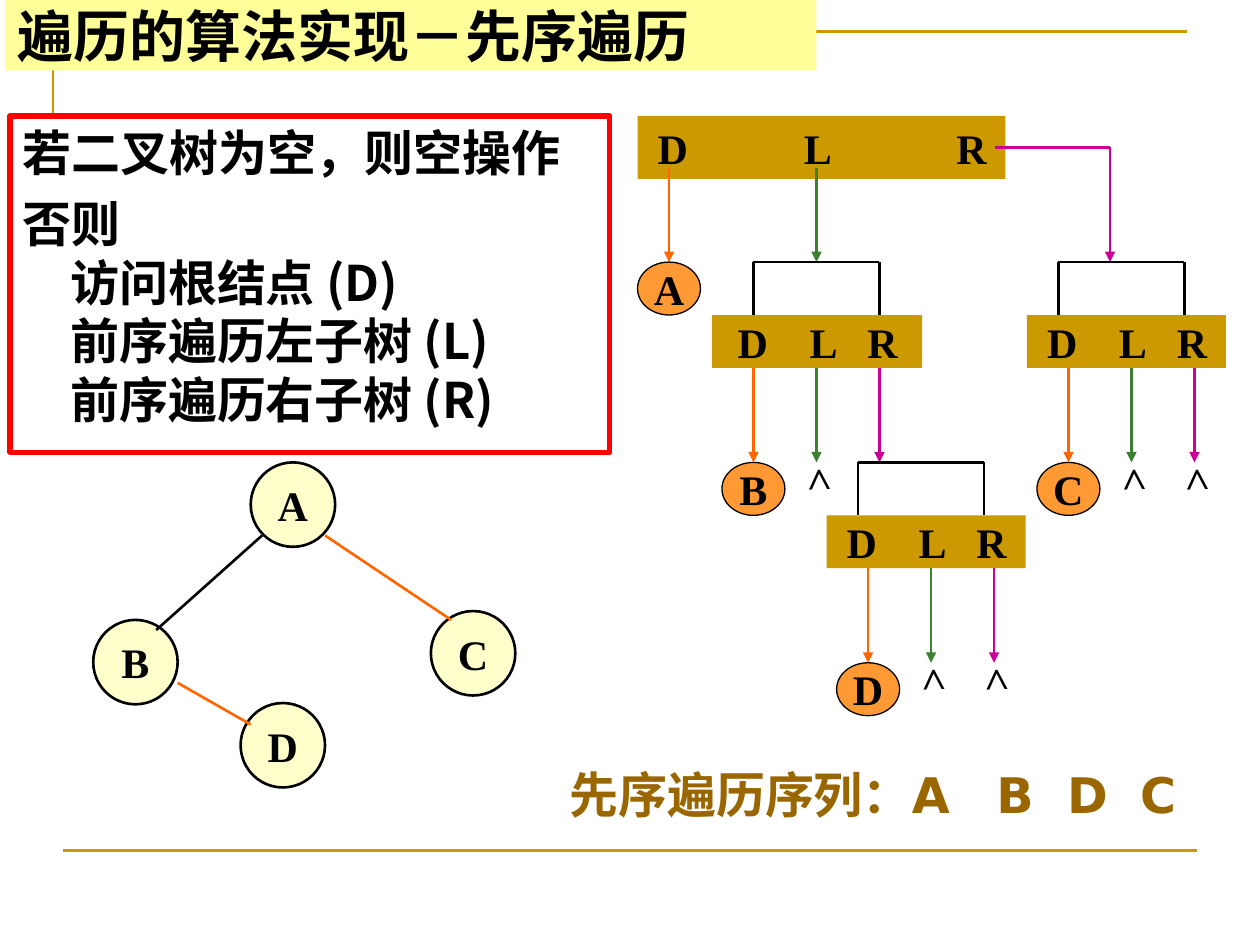
from lxml import etree
from pptx import Presentation
from pptx.dml.color import RGBColor
from pptx.enum.shapes import MSO_CONNECTOR, MSO_SHAPE
from pptx.enum.text import MSO_ANCHOR, PP_ALIGN
from pptx.oxml.ns import qn
from pptx.util import Inches, Pt

RECT, OVAL = MSO_SHAPE.RECTANGLE, MSO_SHAPE.OVAL
STRAIGHT = MSO_CONNECTOR.STRAIGHT
TOP, MIDDLE = MSO_ANCHOR.TOP, MSO_ANCHOR.MIDDLE
LEFT, CENTER = PP_ALIGN.LEFT, PP_ALIGN.CENTER

BLACK = RGBColor(0x00, 0x00, 0x00)
GOLD = RGBColor(0xCC, 0x99, 0x00)
BROWN = RGBColor(0x99, 0x66, 0x00)
ORANGE = RGBColor(0xFF, 0x66, 0x00)
GREEN = RGBColor(0x3B, 0x81, 0x2F)
MAGENTA = RGBColor(0xCC, 0x00, 0x99)
RED = RGBColor(0xFF, 0x00, 0x00)
VISITED = RGBColor(0xFF, 0x99, 0x33)
CREAM = RGBColor(0xFF, 0xFF, 0xCC)
YELLOW = RGBColor(0xFF, 0xFF, 0x99)

SERIF, SANS, CJK = "Times New Roman", "DejaVu Sans", "Noto Sans CJK SC"
STEP = 0.5          # gap between the D, L and R arrows
DROP = 0.75         # length of an arrow
ROW = 0.42          # height of a D L R bar, a bracket and a visited node
NODE = 0.67         # diameter of a tree node


def write(shape, text, font=SERIF, size=24, color=BLACK, align=LEFT,
          anchor=MIDDLE, wrap=True, inset=0.1, tabs=()):
    frame = shape.text_frame
    frame.text = text
    layout = {"word_wrap": wrap, "vertical_anchor": anchor,
              "margin_left": Inches(inset), "margin_right": Inches(0.1),
              "margin_top": Inches(0.05), "margin_bottom": Inches(0.05)}
    for key, value in layout.items():
        setattr(frame, key, value)
    for paragraph in frame.paragraphs:
        paragraph.alignment = align
        if tabs:
            stops = etree.SubElement(paragraph._p.get_or_add_pPr(), qn("a:tabLst"))
            for stop in tabs:
                etree.SubElement(stops, qn("a:tab"), pos=str(Inches(stop)), algn="l")
        for run in paragraph.runs:
            for key, value in {"name": font, "size": Pt(size), "bold": True}.items():
                setattr(run.font, key, value)
            run.font.color.rgb = color
            etree.SubElement(run._r.get_or_add_rPr(), qn("a:ea"), typeface=CJK)


def add_box(slide, kind, box, fill=None, line=None, width=0.75):
    shape = slide.shapes.add_shape(kind, *map(Inches, box))
    shape.shadow.inherit = False
    if fill is None:
        shape.fill.background()
    else:
        shape.fill.solid()
        shape.fill.fore_color.rgb = fill
    if line is None:
        shape.line.fill.background()
    else:
        shape.line.color.rgb = line
        shape.line.width = Pt(width)
    return shape


def add_line(slide, start, end, color=BLACK, arrow=False):
    line = slide.shapes.add_connector(STRAIGHT, *map(Inches, (*start, *end)))
    line.line.color.rgb = color
    line.line.width = Pt(1.5)
    if arrow:
        etree.SubElement(line.line._get_or_add_ln(), qn("a:tailEnd"), type="triangle")
    etree.SubElement(line._element.spPr, qn("a:effectLst"))


def add_drop(slide, x, y, color, length=DROP):
    add_line(slide, (x, y), (x, y + length), color, arrow=True)


def add_bar(slide, box, tabs):
    """Gold bar with the letters D, L, R; the last tab tells where R starts."""
    bar = add_box(slide, RECT, box, GOLD)
    write(bar, "D\tL\tR", inset=(box[2] - tabs[-1] - 0.23) / 2, tabs=tabs)


def add_visited(slide, x, y, letter):
    node = add_box(slide, OVAL, (x - 0.25, y, 0.5, ROW), VISITED, BLACK)
    write(node, letter, align=CENTER, wrap=False)


def add_empty(slide, x, y):
    """Empty subtree sign below an arrow."""
    sign = slide.shapes.add_textbox(*map(Inches, (x - 0.21, y - 0.13, 0.42, 0.5)))
    sign.rotation = 268.3
    write(sign, ">", anchor=TOP)


def add_call(slide, box, bracket, letter, right_empty=True):
    """One recursive call: bracket, D L R bar, arrows and their results."""
    left, top, width, height = box
    right, bar_top = bracket + 2 * STEP, top + height
    add_line(slide, (bracket, top), (right, top))
    for x in (bracket, right):
        add_line(slide, (x, top), (x, bar_top))
    add_bar(slide, (left, bar_top, width, ROW), (0.57, 1.03))

    stems, end = bar_top + ROW, bar_top + ROW + DROP
    first = left + 0.33
    for i, color in enumerate((ORANGE, GREEN, MAGENTA)):
        add_drop(slide, first + i * STEP, stems, color)
    add_visited(slide, first, end, letter)
    add_empty(slide, first + STEP, end)
    if right_empty:
        add_empty(slide, first + 2 * STEP, end)


def add_trace(slide, left, top):
    """Trace of the calls, starting from the root bar."""
    add_bar(slide, (left, top, 2.92, 0.5), (1.16, 2.37))
    calls = top + 1.16
    add_drop(slide, left + 0.25, top + 0.41, ORANGE)
    add_visited(slide, left + 0.25, calls, "A")
    add_drop(slide, left + 1.42, top + 0.41, GREEN)
    add_line(slide, (left + 2.84, top + 0.25), (left + 3.75, top + 0.25), MAGENTA)
    add_drop(slide, left + 3.75, top + 0.25, MAGENTA, 0.91)
    add_call(slide, (left + 0.59, calls, 1.67, ROW), left + 0.92, "B", right_empty=False)
    add_call(slide, (left + 1.5, calls + 1.59, 1.58, ROW), left + 1.75, "D")
    add_call(slide, (left + 3.09, calls, 1.58, ROW), left + 3.34, "C")


def add_tree(slide, left, top):
    """The binary tree that is traversed."""
    for letter, x, y in (("A", 1.25, 0), ("D", 1.17, 1.91), ("B", 0, 1.25), ("C", 2.68, 1.18)):
        node = add_box(slide, OVAL, (left + x, top + y, NODE, NODE), CREAM, BLACK, 1.5)
        write(node, letter, align=CENTER, wrap=False)
    edges = (((1.34, 0.58), (0.5, 1.33), BLACK),
             ((1.84, 0.58), (2.84, 1.25), ORANGE),
             ((0.67, 1.75), (1.25, 2.08), ORANGE))
    for (x1, y1), (x2, y2), color in edges:
        add_line(slide, (left + x1, top + y1), (left + x2, top + y2), color)


def add_rules(slide):
    """Gold corner line at the top and line at the bottom."""
    builder = slide.shapes.build_freeform(Inches(0.42), Inches(0.92))
    builder.add_line_segments([(Inches(0.42), Inches(0.25)), (Inches(9.42), Inches(0.25))],
                              close=False)
    corner = builder.convert_to_shape()
    corner.shadow.inherit = False
    corner.fill.background()
    corner.line.color.rgb = GOLD
    corner.line.width = Pt(1.5)
    add_line(slide, (0.5, 6.75), (9.5, 6.75), GOLD)


def add_algorithm(slide, box):
    steps = add_box(slide, RECT, box, line=RED, width=3)
    write(steps, "若二叉树为空，则空操作\n"
                 "否则\v访问根结点 (D)\v前序遍历左子树 (L)\v前序遍历右子树 (R)",
          CJK, 28, anchor=TOP)
    for paragraph in steps.text_frame.paragraphs:
        properties = paragraph._p.get_or_add_pPr()
        properties.set("marL", str(Inches(0.38)))
        properties.set("indent", str(-Inches(0.38)))
    steps.text_frame.paragraphs[1].space_before = Pt(7)


def add_sequence(slide, box):
    sequence = slide.shapes.add_textbox(*map(Inches, box))
    write(sequence, "先序遍历序列：A\tB\tD\tC", SANS, 28, BROWN, anchor=TOP,
          tabs=(3.39, 3.95, 4.53))


def add_title(slide, box):
    title = add_box(slide, RECT, box, YELLOW)
    write(title, "遍历的算法实现－先序遍历", CJK, 32)


def main():
    deck = Presentation()
    deck.slide_width, deck.slide_height = Inches(10), Inches(7.5)
    slide = deck.slides.add_slide(deck.slide_layouts[6])
    add_rules(slide)
    add_trace(slide, 5.06, 0.92)
    add_tree(slide, 0.74, 3.67)
    add_sequence(slide, (4.42, 6.02, 5.19, 0.57))
    add_algorithm(slide, (0.08, 0.92, 4.76, 2.67))
    add_title(slide, (0.04, 0, 6.44, 0.56))
    deck.save("out.pptx")


if __name__ == "__main__":
    main()
